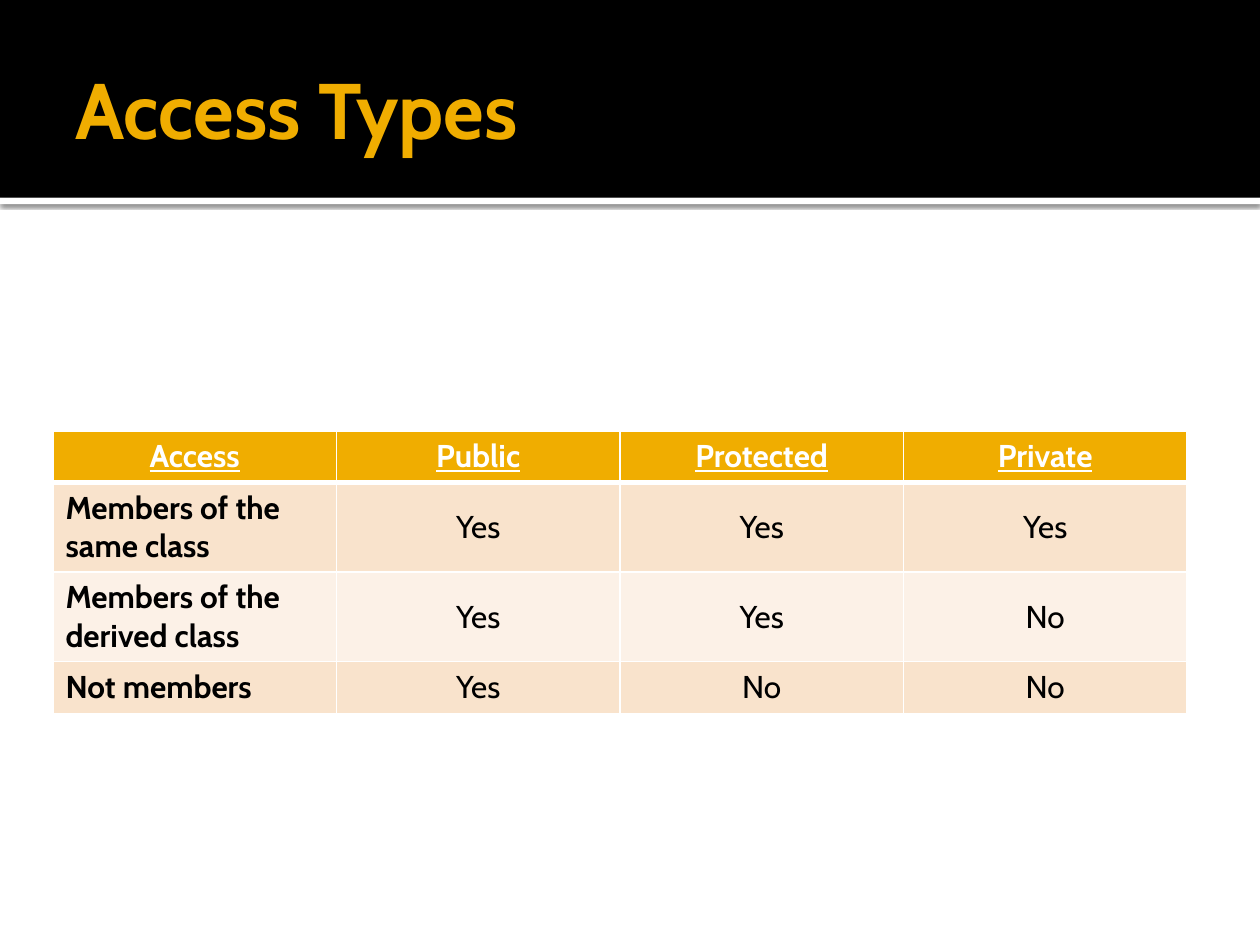
from dataclasses import dataclass

from lxml.etree import SubElement
from pptx import Presentation
from pptx.dml.color import RGBColor as Rgb
from pptx.enum.shapes import MSO_SHAPE as Shape
from pptx.enum.text import MSO_ANCHOR as Anchor, MSO_AUTO_SIZE as AutoSize, PP_ALIGN as Align
from pptx.oxml.ns import qn
from pptx.util import Inches, Pt


@dataclass(frozen=True)
class Theme:
    font: str = "Cabin"
    gold: str = "F0AD00"
    white: str = "FFFFFF"
    black: str = "000000"
    band: str = "F9E3CC"
    band_light: str = "FCF1E7"
    title_size: int = 45
    table_size: int = 18
    border: int = 1
    header_border: int = 3


THEME = Theme()
ROWS = [
    ("Access", "Public", "Protected", "Private"),
    ("Members of the same class", "Yes", "Yes", "Yes"),
    ("Members of the derived class", "Yes", "Yes", "No"),
    ("Not members", "Yes", "No", "No"),
]


def set_all(target, values):
    for name, value in values.items():
        setattr(target, name, value)


def style_font(font, size, color, **values):
    set_all(font, {"name": THEME.font, "size": Pt(size), **values})
    font.color.rgb = Rgb.from_string(color)


def add_color(parent, color):
    fill = SubElement(parent, qn("a:solidFill"))
    return SubElement(fill, qn("a:srgbClr"), val=color)


def add_bar(page, left, top, width, height, color):
    bar = page.shapes.add_shape(Shape.RECTANGLE, *map(Inches, (left, top, width, height)))
    bar.shadow.inherit = False
    bar.fill.solid()
    bar.fill.fore_color.rgb = Rgb.from_string(color)
    bar.line.fill.background()
    return bar


def add_shadow(shape):
    effects = shape.element.spPr.find(qn("a:effectLst"))
    shadow = SubElement(effects, qn("a:outerShdw"), blurRad=str(Pt(2.5)), dist=str(Pt(0.8)),
                        dir="5400000", algn="tl", rotWithShape="0")
    color = SubElement(shadow, qn("a:srgbClr"), val=THEME.black)
    SubElement(color, qn("a:alpha"), val="60000")


def add_header(page, left, top, width, height):
    # White rule with a soft shadow, below the black band
    add_shadow(add_bar(page, left, top + height, width, 0.05, THEME.white))
    add_bar(page, left, top, width, height, THEME.black)

    # Title, brought in front of the band
    title = page.shapes.title
    title.element.getparent().append(title.element)
    set_all(title, {"left": Inches(left + 0.5), "top": Inches(top + 0.17),
                    "width": Inches(width - 1), "height": Inches(height - 0.2)})
    frame = title.text_frame
    set_all(frame, {"text": "Access Types", "word_wrap": True, "auto_size": AutoSize.NONE,
                    "vertical_anchor": Anchor.MIDDLE, "margin_left": Inches(0.1),
                    "margin_right": Inches(0.05), "margin_top": Inches(0.05),
                    "margin_bottom": Inches(0.05)})
    para = frame.paragraphs[0]
    para.alignment = Align.LEFT
    style_font(para.runs[0].font, THEME.title_size, THEME.gold, bold=True)


def set_borders(cell, row):
    widths = {"L": THEME.border, "R": THEME.border,
              "T": THEME.header_border if row == 1 else THEME.border,
              "B": THEME.header_border if row == 0 else THEME.border}
    properties = cell._tc.get_or_add_tcPr()
    for index, (side, width) in enumerate(widths.items()):
        line = properties.makeelement(qn(f"a:ln{side}"), {"w": str(Pt(width))})
        add_color(line, THEME.white)
        properties.insert(index, line)


def format_cell(cell, text, row, column):
    header, label = row == 0, column == 0
    fill = THEME.gold if header else THEME.band if row % 2 else THEME.band_light
    cell.fill.solid()
    cell.fill.fore_color.rgb = Rgb.from_string(fill)
    set_borders(cell, row)
    cell.text = text
    cell.vertical_anchor = Anchor.TOP if header or label else Anchor.MIDDLE
    para = cell.text_frame.paragraphs[0]
    para.alignment = Align.LEFT if label and not header else Align.CENTER
    style_font(para.runs[0].font, THEME.table_size, THEME.white if header else THEME.black,
               bold=header or label, underline=header)


def add_access_table(page, left, top, width, row_height):
    box = map(Inches, (left, top, width, row_height * len(ROWS)))
    table = page.shapes.add_table(len(ROWS), len(ROWS[0]), *box).table
    for row, texts in enumerate(ROWS):
        table.rows[row].height = Inches(row_height)
        for column, text in enumerate(texts):
            format_cell(table.cell(row, column), text, row, column)


def main():
    deck = Presentation()
    set_all(deck, {"slide_width": Inches(10), "slide_height": Inches(7.5)})
    page = deck.slides.add_slide(deck.slide_layouts[5])
    add_header(page, 0, 0, 10, 1.57)
    add_access_table(page, 0.42, 3.42, 9, 0.41)
    deck.save("out.pptx")


if __name__ == "__main__":
    main()
